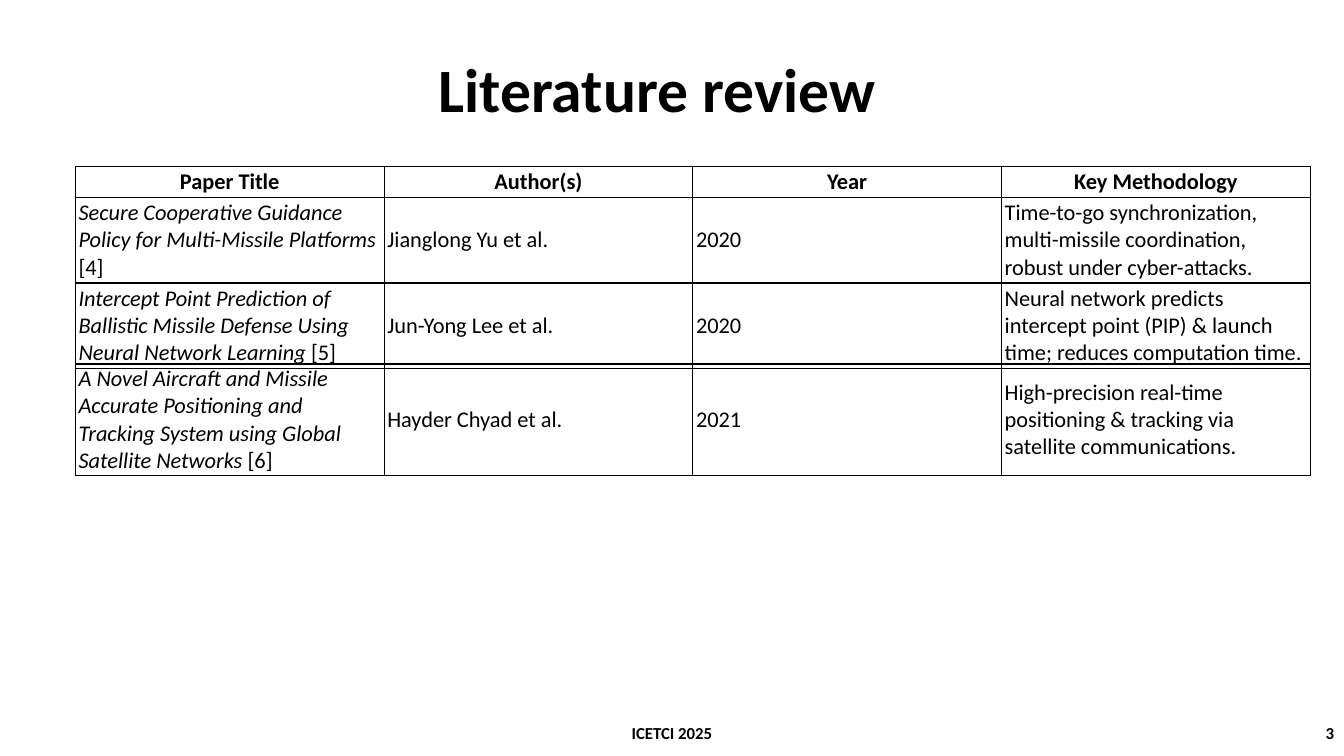
from lxml import etree
from pptx import Presentation
from pptx import util as u
from pptx.dml.color import RGBColor
from pptx.enum import text
from pptx.oxml.ns import qn


def add_run(paragraph, wording, size, color="000000", bold=False, italic=False):
    run = paragraph.add_run()
    run.text = wording
    run.font.name = "Calibri"
    run.font.size = u.Pt(size)
    run.font.bold = bold
    run.font.italic = italic
    run.font.color.rgb = RGBColor.from_string(color)


def add_border(cell, color):
    properties = cell._tc.get_or_add_tcPr()
    for position, side in enumerate(("lnL", "lnR", "lnT", "lnB")):
        line = etree.Element(qn(f"a:{side}"), w=str(u.Pt(1)))
        fill = etree.SubElement(line, qn("a:solidFill"))
        etree.SubElement(fill, qn("a:srgbClr"), val=color)
        properties.insert(position, line)


deck = Presentation()
deck.slide_width = u.Cm(33.87)
deck.slide_height = u.Cm(19.05)
slide = deck.slides.add_slide(deck.slide_layouts[5])

heading = slide.shapes.title
heading.left, heading.top = u.Cm(10.8), u.Cm(0.5)
heading.width, heading.height = u.Cm(29.21), u.Cm(3.68)
heading.text_frame.auto_size = text.MSO_AUTO_SIZE.NONE
heading.text_frame.vertical_anchor = text.MSO_ANCHOR.MIDDLE
heading_line = heading.text_frame.paragraphs[0]
heading_line.alignment = text.PP_ALIGN.LEFT
heading_line.line_spacing = 0.9
add_run(heading_line, "Literature review", 44, bold=True)

column_names = [[("Paper Title", False)], [("Author(s)", False)],
                [("Year", False)], [("Key Methodology", False)]]
papers = [
    ("Secure Cooperative Guidance Policy for Multi-Missile Platforms ", "[4]",
     "Jianglong Yu et al.", "2020",
     "Time-to-go synchronization, multi-missile coordination, robust under cyber-attacks."),
    ("Intercept Point Prediction of Ballistic Missile Defense Using Neural Network Learning ", "[5]",
     "Jun-Yong Lee et al.", "2020",
     "Neural network predicts intercept point (PIP) & launch time; reduces computation time."),
    ("A Novel Aircraft and Missile Accurate Positioning and Tracking System using Global Satellite Networks ", "[6]",
     "Hayder Chyad et al.", "2021",
     "High-precision real-time positioning & tracking via satellite communications."),
]
paper_rows = [
    [[(name, True), (reference, False)], [(authors, False)], [(year, False)], [(method, False)]]
    for name, reference, authors, year, method in papers
]

review_parts = [
    (4.2, [0.77, 2.16, 2.16], [column_names] + paper_rows[:2]),
    (9.17, [2.8], paper_rows[2:]),
]
for top, heights, rows in review_parts:
    review = slide.shapes.add_table(
        len(rows), 4, u.Cm(1.9), u.Cm(top), u.Cm(31.12), u.Cm(sum(heights))).table
    review.first_row = rows[0] is column_names
    review.horz_banding = False
    for column in review.columns:
        column.width = u.Cm(7.78)
    for row, height, entries in zip(review.rows, heights, rows):
        row.height = u.Cm(height)
        is_header = entries is column_names
        for cell, pieces in zip(row.cells, entries):
            cell.fill.background()
            add_border(cell, "000000")
            cell.vertical_anchor = text.MSO_ANCHOR.MIDDLE
            cell.margin_left = cell.margin_right = u.Cm(0.08)
            cell.margin_top = cell.margin_bottom = u.Cm(0.03)
            paragraph = cell.text_frame.paragraphs[0]
            paragraph.alignment = text.PP_ALIGN.CENTER if is_header else text.PP_ALIGN.LEFT
            for wording, italic in pieces:
                add_run(paragraph, wording, 16, bold=is_header, italic=italic)

footers = [
    ("ICETCI 2025", 0, 33.87, text.PP_ALIGN.CENTER),
    ("3", 28.75, 5.12, text.PP_ALIGN.RIGHT),
]
for wording, left, width, alignment in footers:
    footer = slide.shapes.add_textbox(u.Cm(left), u.Cm(18.08), u.Cm(width), u.Cm(0.77)).text_frame
    footer.word_wrap = True
    footer.paragraphs[0].alignment = alignment
    add_run(footer.paragraphs[0], wording, 12, bold=True)

deck.save("out.pptx")
